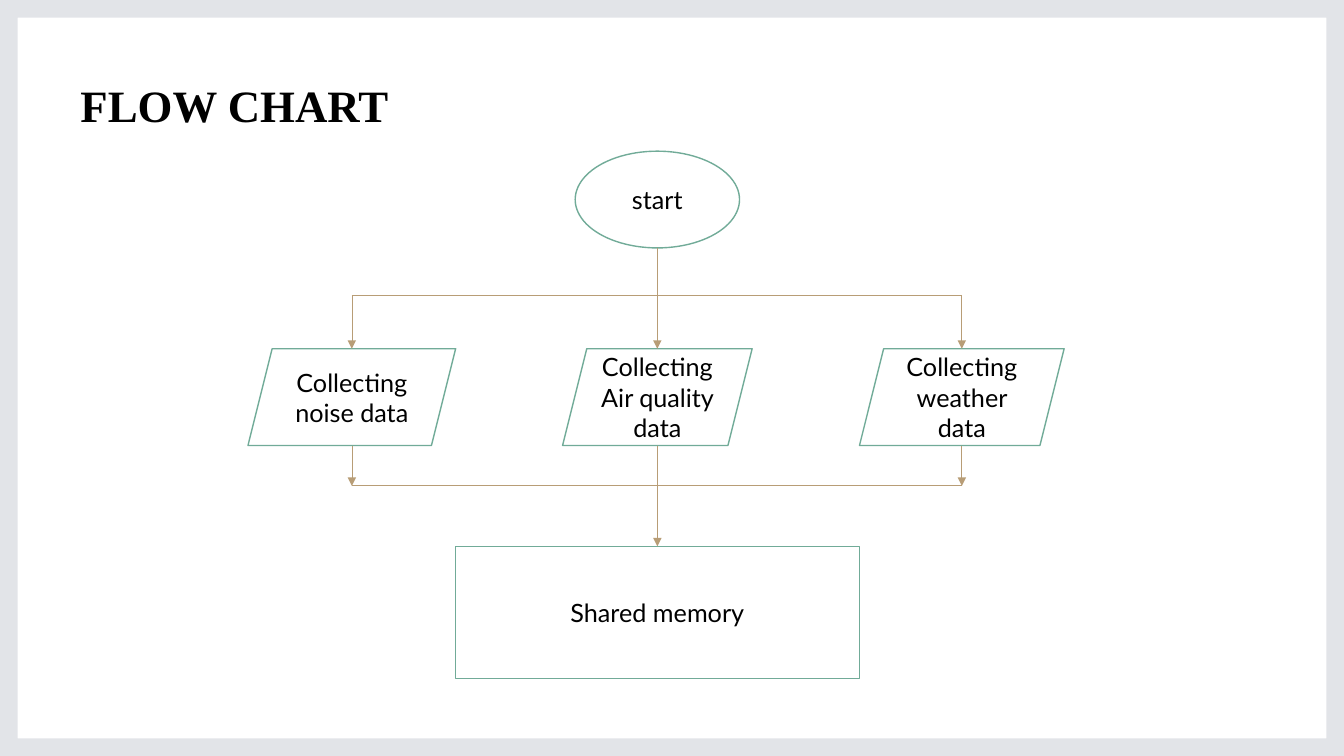
from dataclasses import dataclass

from lxml import etree
from pptx import Presentation
from pptx.dml.color import RGBColor
from pptx.enum.shapes import MSO_CONNECTOR, MSO_SHAPE
from pptx.enum.text import MSO_ANCHOR, PP_ALIGN
from pptx.oxml.ns import qn
from pptx.util import Inches, Pt

STRAIGHT = MSO_CONNECTOR.STRAIGHT
FRAME, OVAL = MSO_SHAPE.FRAME, MSO_SHAPE.OVAL
PARALLELOGRAM, RECTANGLE = MSO_SHAPE.PARALLELOGRAM, MSO_SHAPE.RECTANGLE
CENTER, MIDDLE = PP_ALIGN.CENTER, MSO_ANCHOR.MIDDLE

COLORS = {"border": "E2E4E8", "node": "FFFFFF", "outline": "71AB98",
          "arrow": "B89D76", "text": "000000"}
SLIDE_W, SLIDE_H = 13.33, 7.5
BORDER = 0.175

# Flow chart levels, from top to bottom
NODE_H = 0.96
START_Y, SPLIT_Y, COLLECT_Y, MERGE_Y, MEMORY_Y = 1.5, 2.93, 3.46, 4.82, 5.42
START_END, COLLECT_END = START_Y + NODE_H, COLLECT_Y + NODE_H
LEFT_X, MIDDLE_X, RIGHT_X = 3.49, 6.52, 9.54


@dataclass
class Node:
    label: str
    kind: MSO_SHAPE
    center_x: float
    top: float
    width: float
    height: float = NODE_H


@dataclass
class Link:
    x1: float
    y1: float
    x2: float
    y2: float
    arrow: bool = True


NODES = [
    Node("start", OVAL, MIDDLE_X, START_Y, 1.63),
    Node("Collecting noise data", PARALLELOGRAM, LEFT_X, COLLECT_Y, 2.06),
    Node("Collecting Air quality data", PARALLELOGRAM, MIDDLE_X, COLLECT_Y, 1.88),
    Node("Collecting weather data", PARALLELOGRAM, RIGHT_X, COLLECT_Y, 2.03),
    Node("Shared memory", RECTANGLE, MIDDLE_X, MEMORY_Y, 4.01, 1.31),
]

LINKS = [
    Link(MIDDLE_X, START_END, MIDDLE_X, COLLECT_Y),
    Link(MIDDLE_X, COLLECT_END, MIDDLE_X, MEMORY_Y),
]
for bar_y, drop_start, drop_end in ((SPLIT_Y, SPLIT_Y, COLLECT_Y),
                                    (MERGE_Y, COLLECT_END, MERGE_Y)):
    LINKS.append(Link(LEFT_X, bar_y, RIGHT_X, bar_y, arrow=False))
    LINKS += [Link(x, drop_start, x, drop_end) for x in (LEFT_X, RIGHT_X)]


def color(name: str) -> RGBColor:
    return RGBColor.from_string(COLORS[name])


def add_run(paragraph, text: str, font_name: str, size: int, bold: bool = False) -> None:
    run = paragraph.add_run()
    run.text = text
    run.font.name = font_name
    run.font.size = Pt(size)
    run.font.bold = bold
    run.font.color.rgb = color("text")


def draw_border(slide) -> None:
    border = slide.shapes.add_shape(FRAME, 0, 0, Inches(SLIDE_W), Inches(SLIDE_H))
    border.adjustments[0] = BORDER / SLIDE_H
    border.shadow.inherit = False
    border.fill.solid()
    border.fill.fore_color.rgb = color("border")
    border.line.fill.background()


def draw_node(slide, node: Node) -> None:
    shape = slide.shapes.add_shape(
        node.kind, Inches(node.center_x - node.width / 2), Inches(node.top),
        Inches(node.width), Inches(node.height))
    shape.shadow.inherit = False
    shape.fill.solid()
    shape.fill.fore_color.rgb = color("node")
    shape.line.color.rgb = color("outline")
    shape.line.width = Pt(1)
    frame = shape.text_frame
    frame.word_wrap = True
    frame.vertical_anchor = MIDDLE
    frame.paragraphs[0].alignment = CENTER
    add_run(frame.paragraphs[0], node.label, "Lato", 18)


def draw_link(slide, link: Link) -> None:
    connector = slide.shapes.add_connector(
        STRAIGHT, Inches(link.x1), Inches(link.y1), Inches(link.x2), Inches(link.y2))
    connector.line.color.rgb = color("arrow")
    connector.line.width = Pt(0.5)
    if link.arrow:
        etree.SubElement(connector.line._get_or_add_ln(), qn("a:tailEnd"), type="triangle")
    etree.SubElement(connector._element.spPr, qn("a:effectLst"))


def draw_title(slide) -> None:
    title = slide.shapes.add_textbox(Inches(0.7), Inches(0.72), Inches(6.67), Inches(0.64))
    title.text_frame.word_wrap = True
    add_run(title.text_frame.paragraphs[0], "FLOW CHART", "Times New Roman", 32, bold=True)


def main() -> None:
    deck = Presentation()
    deck.slide_width, deck.slide_height = Inches(SLIDE_W), Inches(SLIDE_H)
    slide = deck.slides.add_slide(deck.slide_layouts[6])
    draw_border(slide)
    for node in NODES:
        draw_node(slide, node)
    for link in LINKS:
        draw_link(slide, link)
    draw_title(slide)
    deck.save("out.pptx")


if __name__ == "__main__":
    main()
